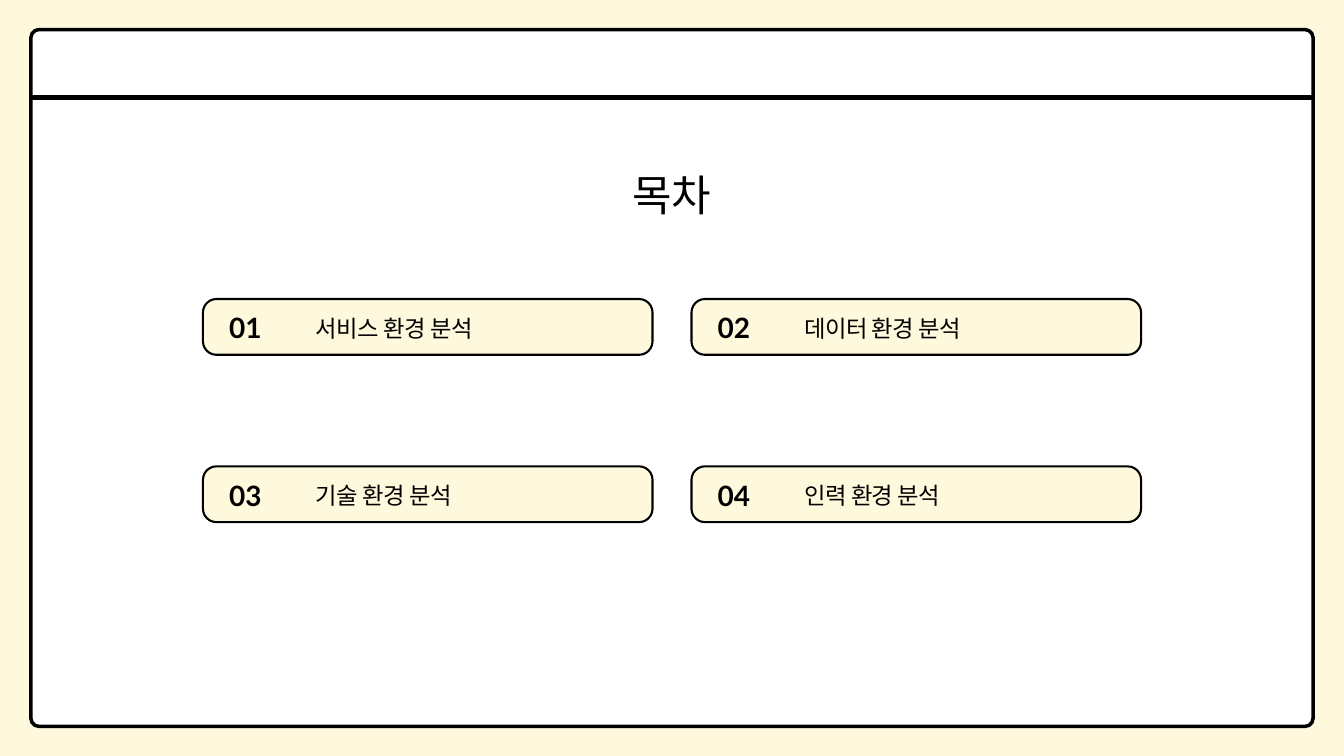
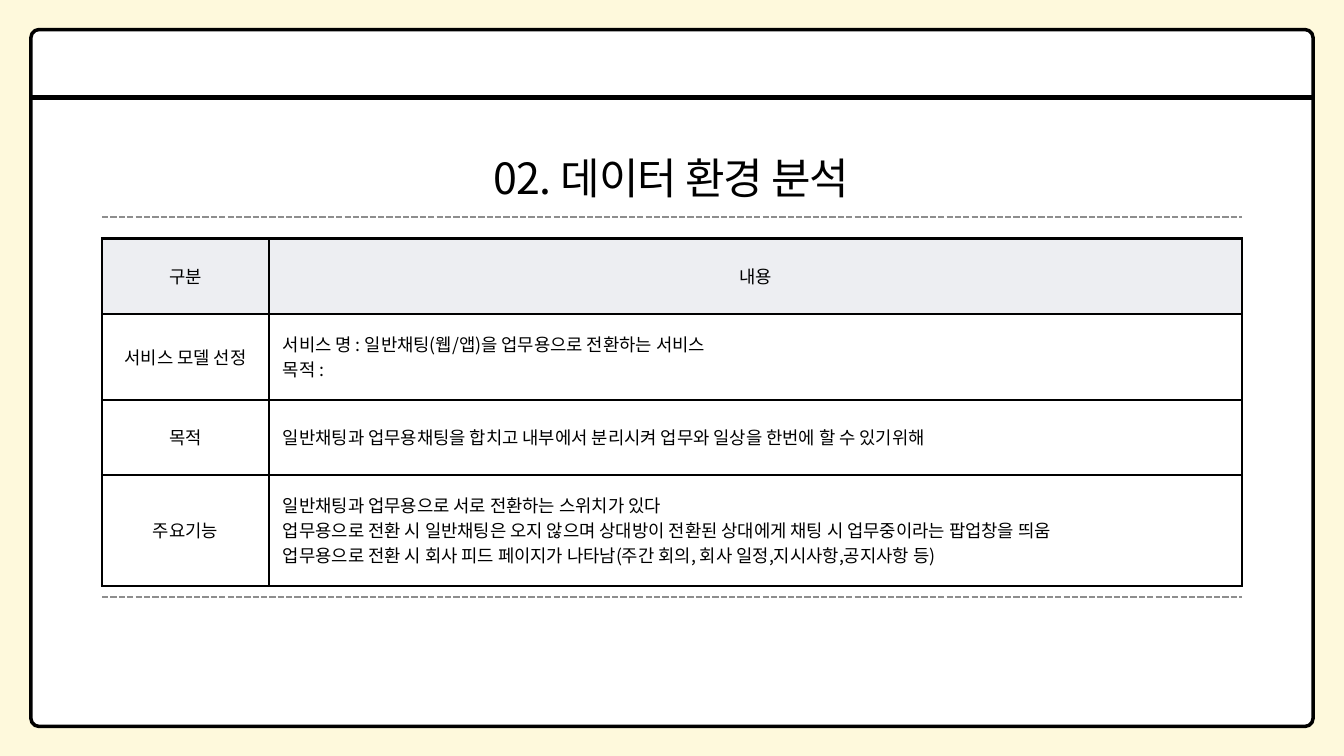
import lxml.etree
import pptx
import pptx.dml.color
import pptx.enum.dml
import pptx.enum.shapes
import pptx.enum.text
import pptx.oxml.ns
import pptx.util

Inches = pptx.util.Inches
Pt = pptx.util.Pt
ALIGN = pptx.enum.text.PP_ALIGN
ANCHOR = pptx.enum.text.MSO_ANCHOR
qn = pptx.oxml.ns.qn

CREAM, WHITE, BLACK = "FEF9DC", "FFFFFF", "000000"
HEADER_GRAY, RULE_GRAY = "EDEEF2", "8E8E8E"
KOREAN = "Noto Sans CJK KR"
TITLE = dict(size=46, font=KOREAN, leading=64.4, align=ALIGN.CENTER, tracking=-90)
NUMBER = dict(size=30, font="Lato", leading=37.8, bold=True)
TOPIC = dict(size=25, font=KOREAN, leading=35, tracking=-50)
CELL = dict(size=19, font=KOREAN, leading=26.6)

AGENDA = ["서비스 환경 분석", "데이터 환경 분석", "기술 환경 분석", "인력 환경 분석"]
SERVICE_ROWS = [
    ("구분", ["내용"]),
    ("서비스 모델 선정", ["서비스 명 : 일반채팅(웹/앱)을 업무용으로 전환하는 서비스", "목적 :"]),
    ("목적", ["일반채팅과 업무용채팅을 합치고 내부에서 분리시켜 업무와 일상을 한번에 할 수 있기위해"]),
    ("주요기능", [
        "일반채팅과 업무용으로 서로 전환하는 스위치가 있다",
        "업무용으로 전환 시 일반채팅은 오지 않으며 상대방이 전환된 상대에게 채팅 시 업무중이라는 팝업창을 띄움",
        "업무용으로 전환 시 회사 피드 페이지가 나타남(주간 회의, 회사 일정,지시사항,공지사항 등)",
    ]),
]


def color(value):
    return pptx.dml.color.RGBColor.from_string(value)


def apply(target, values):
    for name, value in values.items():
        setattr(target, name, value)


def write(frame, lines, size, font, leading, align=ALIGN.LEFT, bold=False, tracking=0):
    """Fill a text frame with one paragraph for each line."""
    for index, line in enumerate(lines):
        para = frame.add_paragraph() if index else frame.paragraphs[0]
        apply(para, dict(alignment=align, line_spacing=Pt(leading),
                         space_before=Pt(0), space_after=Pt(0)))
        span = para.add_run()
        span.text = line
        apply(span.font, dict(size=Pt(size), name=font, bold=bold))
        span.font.color.rgb = color(BLACK)
        properties = span.font._element
        properties.set("spc", str(tracking))
        lxml.etree.SubElement(properties, qn("a:ea"), typeface=font)


def set_frame(frame):
    apply(frame, dict(margin_left=0, margin_right=0, margin_top=0, margin_bottom=0,
                      word_wrap=True, vertical_anchor=ANCHOR.TOP,
                      auto_size=pptx.enum.text.MSO_AUTO_SIZE.NONE))


def add_text(page, left, top, width, height, text, style):
    box = page.shapes.add_textbox(*map(Inches, (left, top, width, height)))
    set_frame(box.text_frame)
    write(box.text_frame, [text], **style)


def add_panel(page, left, top, width, height, fill, weight, radius):
    """Outlined box whose corner radius is given in inches."""
    panel = page.shapes.add_shape(pptx.enum.shapes.MSO_SHAPE.ROUNDED_RECTANGLE,
                                  *map(Inches, (left, top, width, height)))
    panel.shadow.inherit = False
    panel.adjustments[0] = radius / min(width, height)
    panel.fill.solid()
    panel.fill.fore_color.rgb = color(fill)
    panel.line.color.rgb = color(BLACK)
    panel.line.width = Pt(weight)
    return panel


def add_rule(page, left, top, width, line_color, weight, dash=None):
    rule = page.shapes.add_connector(
        pptx.enum.shapes.MSO_CONNECTOR.STRAIGHT,
        *map(Inches, (left, top, left + width, top)))
    rule.line.color.rgb = color(line_color)
    apply(rule.line, dict(width=Pt(weight), dash_style=dash))
    lxml.etree.SubElement(rule.element.spPr, qn("a:effectLst"))
    return rule


def add_window_page(deck, title, title_top):
    """Page with the window frame, its top bar and the title."""
    page = deck.slides.add_slide(deck.slide_layouts[5])
    left, top, width = 0.46, 0.44, 19.08
    window = add_panel(page, left, top, width, 10.37, WHITE, 3.75, 0.12)
    bar = add_rule(page, left, top + 1.01, width, BLACK, 4.96)
    heading = page.shapes.title
    for part in (window, bar):
        heading.element.addprevious(part.element)
    apply(heading, dict(left=Inches(5.34), top=Inches(title_top),
                        width=Inches(9.31), height=Inches(0.86)))
    set_frame(heading.text_frame)
    write(heading.text_frame, [title], **TITLE)
    return page


def add_agenda(page, left, top, topics):
    """Numbered boxes in two columns."""
    for index, topic in enumerate(topics):
        row, column = divmod(index, 2)
        x, y = left + column * 7.27, top + row * 2.49
        add_panel(page, x, y, 6.69, 0.83, CREAM, 2.25, 0.2)
        add_text(page, x + 0.39, y + 0.15, 1.01, 0.52, f"{index + 1:02}", NUMBER)
        add_text(page, x + 1.68, y + 0.15, 4.83, 0.47, topic, TOPIC)


def add_borders(cell, line_color, weight):
    properties = cell._tc.get_or_add_tcPr()
    for side in ("lnL", "lnR", "lnT", "lnB"):
        border = lxml.etree.SubElement(properties, qn(f"a:{side}"), w=str(Pt(weight)))
        fill = lxml.etree.SubElement(border, qn("a:solidFill"))
        lxml.etree.SubElement(fill, qn("a:srgbClr"), val=line_color)


def add_service_table(page, left, top, widths, heights, rows):
    """Bordered table between two dashed rules."""
    width, height = sum(widths), sum(heights)
    for y in (top - 0.32, top + height + 0.17):
        add_rule(page, left, y, width, RULE_GRAY, 2.25,
                 pptx.enum.dml.MSO_LINE.SQUARE_DOT)
    table = page.shapes.add_table(len(rows), len(widths),
                                  *map(Inches, (left, top, width, height))).table
    apply(table, dict(first_row=False, horz_banding=False))
    for column, column_width in zip(table.columns, widths):
        column.width = Inches(column_width)
    for row_index, (label, details) in enumerate(rows):
        table.rows[row_index].height = Inches(heights[row_index])
        for column_index, lines in enumerate(([label], details)):
            cell = table.cell(row_index, column_index)
            sides = ("left", "right", "top", "bottom")
            apply(cell, {f"margin_{side}": Inches(0.21) for side in sides})
            cell.vertical_anchor = ANCHOR.MIDDLE
            add_borders(cell, BLACK, 3)
            cell.fill.solid()
            cell.fill.fore_color.rgb = color(WHITE if row_index else HEADER_GRAY)
            centred = row_index == 0 or column_index == 0
            write(cell.text_frame, lines, **CELL,
                  align=ALIGN.CENTER if centred else ALIGN.LEFT)


def main():
    deck = pptx.Presentation()
    apply(deck, dict(slide_width=Inches(20), slide_height=Inches(11.25)))
    background = deck.slide_master.background.fill
    background.solid()
    background.fore_color.rgb = color(CREAM)

    # Contents
    page = add_window_page(deck, "목차", 2.38)
    add_agenda(page, 3.02, 4.45, AGENDA)

    # Data environment
    page = add_window_page(deck, "02. 데이터 환경 분석", 2.13)
    add_service_table(page, 1.52, 3.55, [2.48, 14.48], [1.12, 1.28, 1.12, 1.65],
                      SERVICE_ROWS)
    deck.save("out.pptx")


if __name__ == "__main__":
    main()
